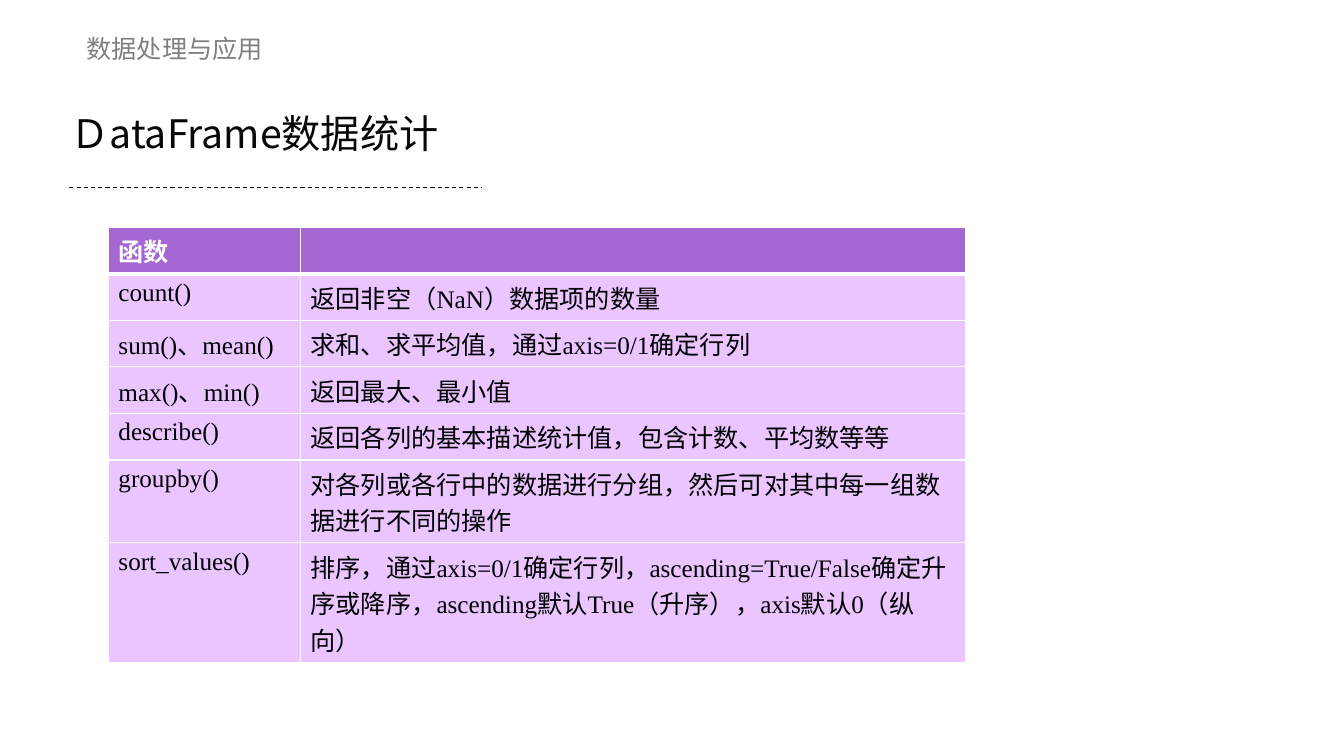
"""Build the slide on DataFrame statistics functions."""
from lxml import etree
from pptx import Presentation
from pptx.dml.color import RGBColor
from pptx.enum.dml import MSO_LINE
from pptx.enum.shapes import MSO_CONNECTOR
from pptx.enum.text import MSO_ANCHOR, MSO_AUTO_SIZE, PP_ALIGN
from pptx.oxml.ns import qn
from pptx.util import Pt

TITLE_ONLY = 5
STRAIGHT = MSO_CONNECTOR.STRAIGHT
DASH = MSO_LINE.DASH
MIDDLE = MSO_ANCHOR.MIDDLE
GROW = MSO_AUTO_SIZE.SHAPE_TO_FIT_TEXT
LEFT = PP_ALIGN.LEFT

SANS = "Noto Sans CJK SC"
SERIF = "Times New Roman"
COLORS = {
    "chapter": "7F7F7F",
    "title": "080808",
    "rule": "000000",
    "body": "000000",
    "header": "FFFFFF",
    "header_fill": "A568D2",
    "body_fill": "EAC5FF",
    "border": "FFFFFF",
}

CHAPTER = "数据处理与应用"
TITLE = "ＤataFrame数据统计"
FUNCTIONS = [
    ("函数", ""),
    ("count()", "返回非空（NaN）数据项的数量"),
    ("sum()、mean()", "求和、求平均值，通过axis=0/1确定行列"),
    ("max()、min()", "返回最大、最小值"),
    ("describe()", "返回各列的基本描述统计值，包含计数、平均数等等"),
    ("groupby()", "对各列或各行中的数据进行分组，然后可对其中每一组数据进行不同的操作"),
    ("sort_values()", "排序，通过axis=0/1确定行列，ascending=True/False确定升序或降序，"
                      "ascending默认True（升序），axis默认0（纵向）"),
]
LINE_COUNTS = (1, 1, 1, 1, 1, 2, 3)

COLUMN_WIDTHS = (137.2, 475.2)
ROW_HEIGHT = 33.25
LINE_HEIGHT = 26
ROW_HEIGHTS = [ROW_HEIGHT + LINE_HEIGHT * (count - 1) for count in LINE_COUNTS]
BORDERS = ("a:lnL", "a:lnR", "a:lnT", "a:lnB")


def write(text_frame, text, size=18, font=SERIF, color="body", bold=False, spacing=None):
    """Fill a text frame with one formatted, left-aligned paragraph."""
    paragraph = text_frame.paragraphs[0]
    paragraph.alignment = LEFT
    if spacing:
        paragraph.line_spacing = spacing
    paragraph.font.size = Pt(size)
    if not text:
        return
    run = paragraph.add_run()
    run.text = text
    run.font.size = Pt(size)
    run.font.bold = bold
    run.font.name = font
    run.font.color.rgb = RGBColor.from_string(COLORS[color])
    etree.SubElement(run.font._element, qn("a:ea"), typeface=SANS)


def add_borders(cell, widths):
    """Draw the left, right, top and bottom cell borders."""
    properties = cell._tc.get_or_add_tcPr()
    for index, (tag, width) in enumerate(zip(BORDERS, widths)):
        line = etree.Element(qn(tag), w=str(Pt(width)))
        fill = etree.SubElement(line, qn("a:solidFill"))
        etree.SubElement(fill, qn("a:srgbClr"), val=COLORS["border"])
        properties.insert(index, line)


presentation = Presentation()
presentation.slide_width, presentation.slide_height = Pt(960), Pt(540)
slide = presentation.slides.add_slide(presentation.slide_layouts[TITLE_ONLY])

chapter = slide.shapes.add_textbox(Pt(54.7), Pt(20.2), Pt(140.4), Pt(28.8))
chapter.text_frame.word_wrap = False
chapter.text_frame.auto_size = GROW
write(chapter.text_frame, CHAPTER, font=SANS, color="chapter")

rule = slide.shapes.add_connector(STRAIGHT, Pt(49.5), Pt(133.8), Pt(344.2), Pt(133.8))
rule.line.color.rgb = RGBColor.from_string(COLORS["rule"])
rule.line.width = Pt(0.75)
rule.line.dash_style = DASH
etree.SubElement(rule._element.spPr, qn("a:effectLst"))

title = slide.shapes.title
title.left, title.top, title.width, title.height = Pt(43.2), Pt(65.5), Pt(877.7), Pt(62.6)
title.text_frame.vertical_anchor = MIDDLE
write(title.text_frame, TITLE, size=28, font=SANS, color="title", spacing=0.9)

table = slide.shapes.add_table(
    len(FUNCTIONS), len(COLUMN_WIDTHS), Pt(77.4), Pt(162.4),
    Pt(sum(COLUMN_WIDTHS)), Pt(sum(ROW_HEIGHTS))).table
table.horz_banding = False
for column, width in zip(table.columns, COLUMN_WIDTHS):
    column.width = Pt(width)
for row_index, (texts, height) in enumerate(zip(FUNCTIONS, ROW_HEIGHTS)):
    table.rows[row_index].height = Pt(height)
    is_header = row_index == 0
    for column_index, text in enumerate(texts):
        cell = table.cell(row_index, column_index)
        cell.fill.solid()
        fill_name = "header_fill" if is_header else "body_fill"
        cell.fill.fore_color.rgb = RGBColor.from_string(COLORS[fill_name])
        add_borders(cell, (1, 1, 3 if row_index == 1 else 1, 3 if is_header else 1))
        write(cell.text_frame, text, color="header" if is_header else "body", bold=is_header)

presentation.save("out.pptx")
